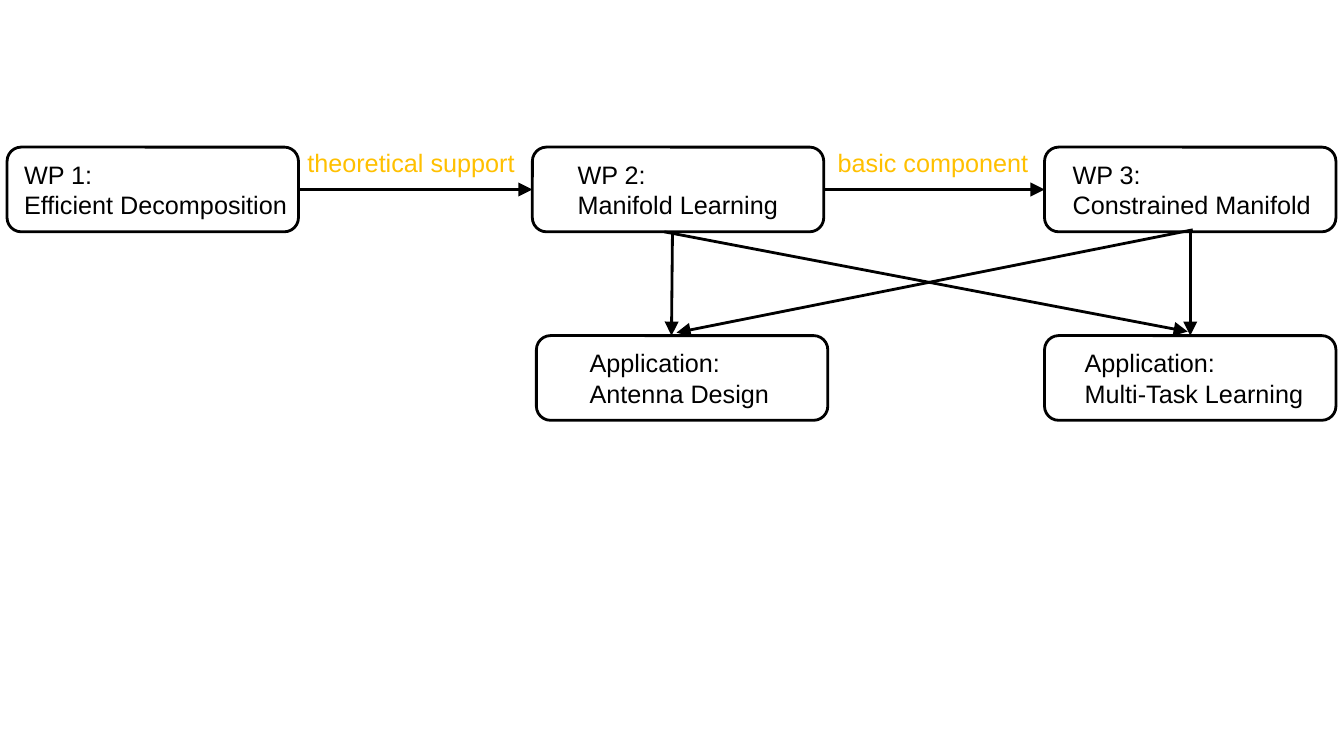
"""Build a slide showing how three work packages feed two applications."""
from dataclasses import dataclass

import lxml.etree
import pptx
import pptx.dml.color
import pptx.enum.shapes
import pptx.enum.text
import pptx.oxml.ns
import pptx.util

Inches = pptx.util.Inches
BLACK = "000000"
AMBER = "FFC000"
BOX_W, BOX_H = 2.89, 0.84
WP_TOP, APP_TOP = 1.46, 3.33
TEXT_DROP = 0.07
LABEL_TOP = 1.41
TOP, LEFT, BOTTOM, RIGHT = range(4)


@dataclass
class Box:
    key: str
    left: float
    top: float
    text_left: float
    text_width: float
    lines: tuple[str, str]


@dataclass
class Label:
    left: float
    width: float
    text: str


@dataclass
class Link:
    source: str
    source_side: int
    target: str
    target_side: int


@dataclass
class Arrow:
    x1: float
    y1: float
    x2: float
    y2: float


BOXES = [
    Box("wp1", 0.07, WP_TOP, 0.14, 2.81, ("WP 1:", "Efficient Decomposition")),
    Box("wp2", 5.28, WP_TOP, 5.63, 2.19, ("WP 2:", "Manifold Learning")),
    Box("wp3", 10.36, WP_TOP, 10.54, 2.56, ("WP 3:", "Constrained Manifold")),
    Box("antenna", 5.32, APP_TOP, 5.75, 1.98, ("Application:", "Antenna Design")),
    Box("multitask", 10.36, APP_TOP, 10.66, 2.37, ("Application:", "Multi-Task Learning")),
]
LABELS = [
    Label(2.95, 2.26, "theoretical support"),
    Label(8.21, 2.09, "basic component"),
]
LINKS = [
    Link("wp1", RIGHT, "wp2", LEFT),
    Link("wp2", RIGHT, "wp3", LEFT),
    Link("wp3", BOTTOM, "multitask", TOP),
]
ARROWS = [
    Arrow(6.67, 2.3, 6.66, 3.33),
    Arrow(6.59, 2.3, 11.78, 3.29),
    Arrow(11.83, 2.28, 6.71, 3.3),
]


def rgb(color: str) -> pptx.dml.color.RGBColor:
    return pptx.dml.color.RGBColor.from_string(color)


def style_line(line) -> None:
    line.color.rgb = rgb(BLACK)
    line.width = pptx.util.Pt(2)


def add_text(s, left: float, top: float, width: float, height: float,
             lines: tuple[str, ...], color: str) -> None:
    sp = s.shapes.add_textbox(Inches(left), Inches(top), Inches(width), Inches(height))
    tf = sp.text_frame
    tf.word_wrap = False
    tf.auto_size = pptx.enum.text.MSO_AUTO_SIZE.SHAPE_TO_FIT_TEXT
    tf.text = "\n".join(lines)
    for p in tf.paragraphs:
        p.font.name = "Arial"
        p.font.size = pptx.util.Pt(18)
        p.font.color.rgb = rgb(color)


def add_box(s, box: Box):
    sp = s.shapes.add_shape(
        pptx.enum.shapes.MSO_SHAPE.ROUNDED_RECTANGLE,
        Inches(box.left), Inches(box.top), Inches(BOX_W), Inches(BOX_H))
    sp.shadow.inherit = False
    sp.fill.background()
    style_line(sp.line)
    add_text(s, box.text_left, box.top + TEXT_DROP, box.text_width, 0.7, box.lines, BLACK)
    return sp


def add_arrow(s, arrow: Arrow):
    cxn = s.shapes.add_connector(
        pptx.enum.shapes.MSO_CONNECTOR.STRAIGHT,
        Inches(arrow.x1), Inches(arrow.y1), Inches(arrow.x2), Inches(arrow.y2))
    style_line(cxn.line)
    ln = cxn.line._get_or_add_ln()
    lxml.etree.SubElement(ln, pptx.oxml.ns.qn("a:tailEnd"), type="triangle", w="lg", len="lg")
    lxml.etree.SubElement(cxn._element.spPr, pptx.oxml.ns.qn("a:effectLst"))
    return cxn


def add_link(s, link: Link, shapes: dict) -> None:
    cxn = add_arrow(s, Arrow(0, 0, 1, 1))
    cxn.begin_connect(shapes[link.source], link.source_side)
    cxn.end_connect(shapes[link.target], link.target_side)


def main() -> None:
    prs = pptx.Presentation()
    prs.slide_width = Inches(13.33)
    prs.slide_height = Inches(7.5)
    s = prs.slides.add_slide(prs.slide_layouts[6])
    shapes = {box.key: add_box(s, box) for box in BOXES}
    for label in LABELS:
        add_text(s, label.left, LABEL_TOP, label.width, 0.4, (label.text,), AMBER)
    for link in LINKS:
        add_link(s, link, shapes)
    for arrow in ARROWS:
        add_arrow(s, arrow)
    prs.save("out.pptx")


if __name__ == "__main__":
    main()
